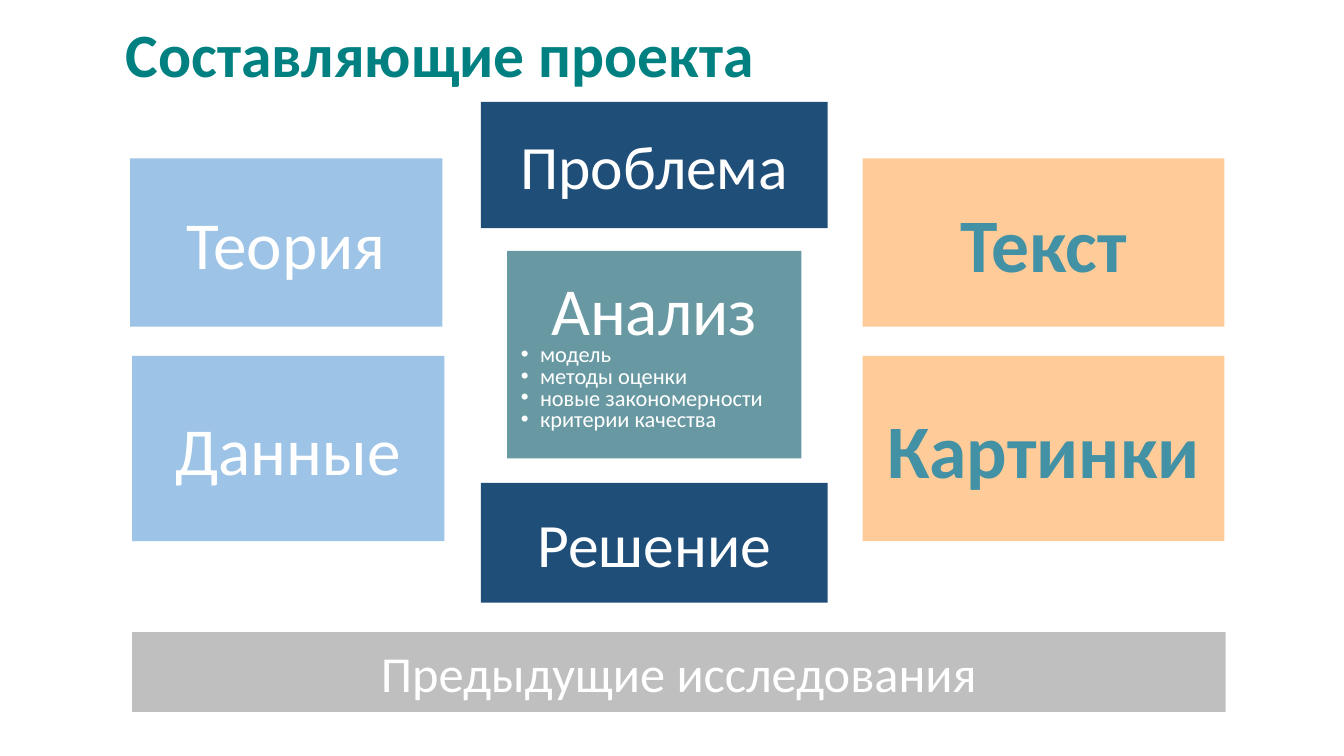
from lxml import etree
from pptx import Presentation
from pptx import util as u
from pptx.dml.color import RGBColor
from pptx.enum import shapes, text
from pptx.oxml import ns

COLOURS = {
    "title": "008080",
    "inputs": "9DC3E6",
    "core": "1F4E79",
    "analysis": "6899A2",
    "outputs": "FFCC99",
    "output text": "4291A4",
    "base": "BFBFBF",
    "white": "FFFFFF",
}
FONT = "Calibri"
ANALYSIS_POINTS = ["модель", "методы оценки", "новые закономерности", "критерии качества"]


def colour(name):
    """Return the named colour."""
    return RGBColor.from_string(COLOURS[name])


def apply(target, values):
    """Set each attribute of the target from a dict."""
    for name, value in values.items():
        setattr(target, name, value)


def place(item, left, top, width, height):
    """Position an item by lengths in centimetres."""
    apply(item, {"left": u.Cm(left), "top": u.Cm(top),
                 "width": u.Cm(width), "height": u.Cm(height)})


def write(para, words, size, ink="white", bold=False):
    """Put one formatted span into a paragraph."""
    span = para.add_run()
    span.text = words
    apply(span.font, {"name": FONT, "size": u.Pt(size), "bold": bold})
    span.font.color.rgb = colour(ink)


def add_title(page, words):
    """Move and format the title placeholder."""
    title = page.shapes.title
    place(title, 2.92, 0.36, 29.21, 2.16)
    frame = title.text_frame
    apply(frame, {"word_wrap": True, "auto_size": text.MSO_AUTO_SIZE.NONE,
                  "vertical_anchor": text.MSO_ANCHOR.MIDDLE})
    para = frame.paragraphs[0]
    apply(para, {"alignment": text.PP_ALIGN.LEFT, "line_spacing": 0.9})
    write(para, words, 44, "title", True)


def add_block(page, words, area, fill, size, ink="white", bold=False):
    """Add a filled rectangle with a centred label."""
    box = page.shapes.add_shape(shapes.MSO_SHAPE.RECTANGLE, *map(u.Cm, area))
    box.shadow.inherit = False
    box.fill.solid()
    box.fill.fore_color.rgb = colour(fill)
    box.line.fill.background()
    frame = box.text_frame
    apply(frame, {"word_wrap": True, "vertical_anchor": text.MSO_ANCHOR.MIDDLE})
    para = frame.paragraphs[0]
    para.alignment = text.PP_ALIGN.CENTER
    write(para, words, size, ink, bold)
    return box


def add_bullets(page, lines, area, size):
    """Add a text box with a tight bulleted list."""
    box = page.shapes.add_textbox(*map(u.Cm, area))
    frame = box.text_frame
    frame.word_wrap = True
    for index, words in enumerate(lines):
        para = frame.add_paragraph() if index else frame.paragraphs[0]
        para.line_spacing = 0.8
        write(para, words, size)
        settings = para._p.get_or_add_pPr()
        indent = u.Cm(0.48)
        settings.set("marL", str(indent))
        settings.set("indent", str(-indent))
        etree.SubElement(settings, ns.qn("a:buFont")).set("typeface", "Arial")
        etree.SubElement(settings, ns.qn("a:buChar")).set("char", "•")


def main():
    """Build the slide of project components."""
    deck = Presentation()
    apply(deck, {"slide_width": u.Cm(33.87), "slide_height": u.Cm(19.05)})
    page = deck.slides.add_slide(deck.slide_layouts[5])
    add_title(page, "Составляющие проекта")

    rows = [(3.99, 4.24), (8.97, 4.67)]
    inputs = [("Теория", 3.28), ("Данные", 3.33)]
    for (words, left), (top, height) in zip(inputs, rows):
        add_block(page, words, (left, top, 7.87, height), "inputs", 48)
    for words, (top, height) in zip(["Текст", "Картинки"], rows):
        add_block(page, words, (21.74, top, 9.12, height), "outputs", 54, "output text", True)
    for words, top, height in [("Проблема", 2.57, 3.18), ("Решение", 12.17, 3.02)]:
        add_block(page, words, (12.12, top, 8.74, height), "core", 44)

    analysis = add_block(page, "Анализ", (12.78, 6.32, 7.42, 5.23), "analysis", 48)
    analysis.text_frame.margin_bottom = u.Cm(2.45)
    add_bullets(page, ANALYSIS_POINTS, (12.88, 8.59, 7.29, 2.44), 16)
    add_block(page, "Предыдущие исследования", (3.33, 15.93, 27.56, 2.01), "base", 36)
    deck.save("out.pptx")


if __name__ == "__main__":
    main()
